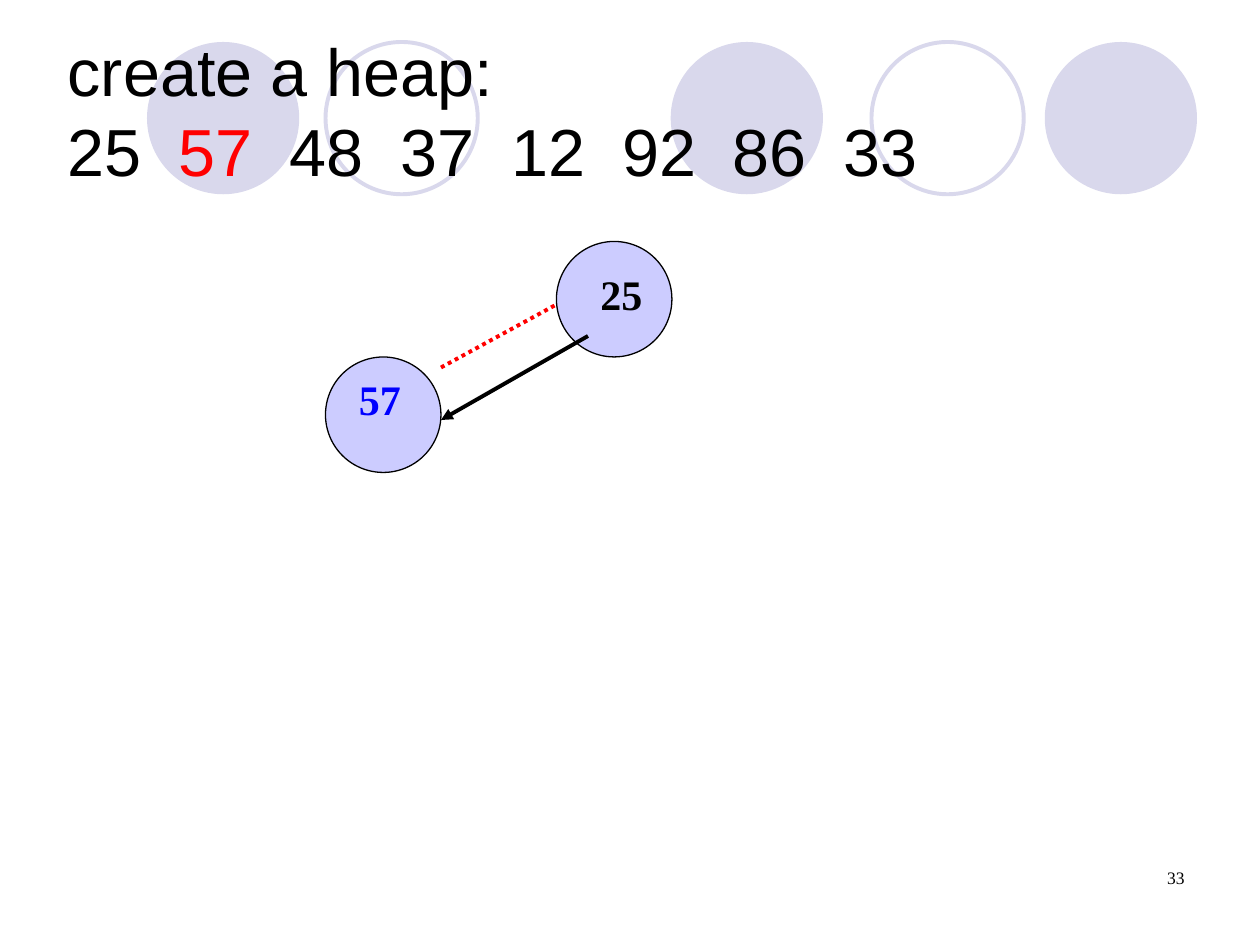
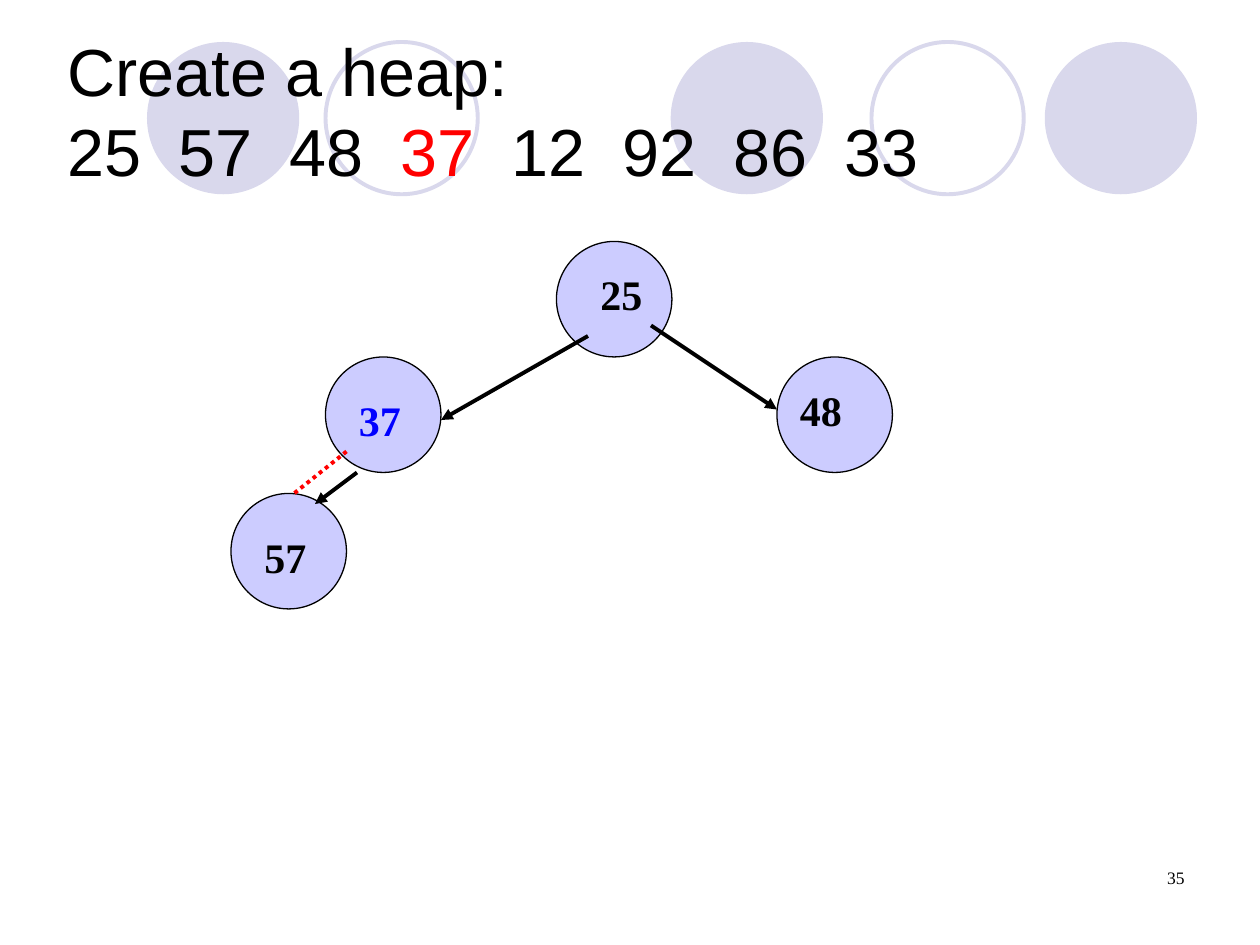
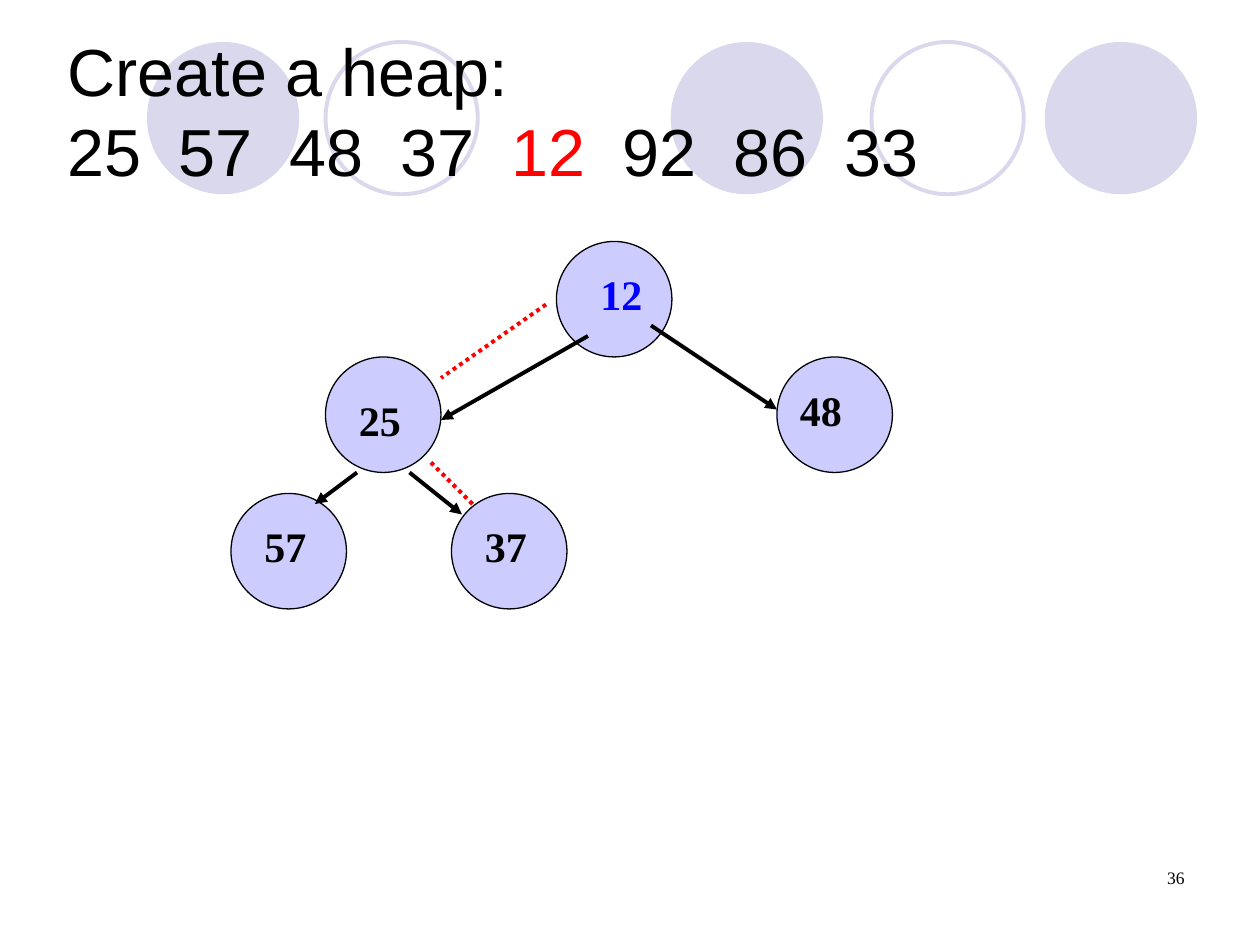
from lxml import etree
from pptx import Presentation
from pptx.dml.color import RGBColor
from pptx.enum.dml import MSO_LINE
from pptx.enum.shapes import MSO_CONNECTOR, MSO_SHAPE
from pptx.enum.text import MSO_ANCHOR, MSO_AUTO_SIZE, PP_ALIGN
from pptx.oxml.ns import qn
from pptx.util import Emu, Pt

SCALE = 9525
OVAL = MSO_SHAPE.OVAL
STRAIGHT = MSO_CONNECTOR.STRAIGHT
DOTTED = MSO_LINE.ROUND_DOT
MIDDLE, TOP = MSO_ANCHOR.MIDDLE, MSO_ANCHOR.TOP
LEFT, RIGHT = PP_ALIGN.LEFT, PP_ALIGN.RIGHT
NO_AUTOFIT = MSO_AUTO_SIZE.NONE

BLACK = RGBColor(0x00, 0x00, 0x00)
RED = RGBColor(0xFF, 0x00, 0x00)
BLUE = RGBColor(0x00, 0x00, 0xFF)
NODE_FILL = RGBColor(0xCC, 0xCC, 0xFF)
BAND = RGBColor(0xD9, 0xD8, 0xEC)
SANS, SERIF = "Arial", "Times New Roman"

NUMBERS = ["25", "57", "48", "37", "12", "92", "86", "33"]
TREE_ORIGIN = (176, 184)
NODE_SIZE = 88
BAND_SIZE = 116
BAND_CIRCLES = [(511, True), (796, True), (112, True), (664, False), (248, False)]

# Each spot holds the node corner and the label indent.
SPOTS = {
    "root": (248, 0, 24),
    "left": (72, 88, 16),
    "right": (416, 88, 8),
    "left_left": (0, 192, 16),
    "left_right": (168, 192, 16),
}
EDGES = {
    "left": (272, 72, 160, 136),
    "right": (320, 64, 416, 128),
    "left_left": (96, 176, 64, 200),
    "left_right": (136, 176, 176, 208),
}

# Each node holds its value, label colour, label drop and label width.
STEPS = [
    {
        "number": "33", "heading": "create a heap: ", "current": 1, "title_width": 837,
        "nodes": {
            "root": ("25", BLACK, 16, 80),
            "left": ("57", BLUE, 8, 88),
        },
        "swaps": [(160, 96, 248, 48)],
    },
    {
        "number": "35", "heading": "Create a heap: ", "current": 3, "title_width": 846,
        "nodes": {
            "root": ("25", BLACK, 16, 80),
            "left": ("37", BLUE, 24, 56),
            "right": ("48", BLACK, 16, 64),
            "left_left": ("57", BLACK, 24, 56),
        },
        "swaps": [(88, 160, 48, 192)],
    },
    {
        "number": "36", "heading": "Create a heap: ", "current": 4, "title_width": 853,
        "nodes": {
            "root": ("12", BLUE, 16, 80),
            "left": ("25", BLACK, 24, 64),
            "right": ("48", BLACK, 16, 72),
            "left_left": ("57", BLACK, 16, 56),
            "left_right": ("37", BLACK, 16, 64),
        },
        "swaps": [(240, 48, 160, 104), (184, 200, 152, 168)],
    },
]


def px(*lengths):
    """Turn pixel lengths into EMU."""
    return [Emu(length * SCALE) for length in lengths]


def add_span(para, text, font_name, size, colour, bold=False):
    """Append one formatted run."""
    span = para.add_run()
    span.text = text
    font = span.font
    font.name, font.size, font.bold = font_name, Pt(size), bold
    font.color.rgb = colour


def add_circle(page, x, y, size, fill=None, line=None, weight=0.75):
    """Draw a circle with an optional fill and outline."""
    circle = page.shapes.add_shape(OVAL, *px(x, y, size, size))
    circle.shadow.inherit = False
    if fill is None:
        circle.fill.background()
    else:
        circle.fill.solid()
        circle.fill.fore_color.rgb = fill
    if line is None:
        circle.line.fill.background()
    else:
        circle.line.color.rgb = line
        circle.line.width = Pt(weight)
    return circle


def add_label(page, box, text, size, colour, bold=False, align=LEFT):
    """Write one line of serif text in a box."""
    frame = page.shapes.add_textbox(*px(*box)).text_frame
    frame.word_wrap = True
    frame.vertical_anchor = TOP
    para = frame.paragraphs[0]
    para.alignment = align
    add_span(para, text, SERIF, size, colour, bold)


def add_link(page, origin, ends, colour, swap=False):
    """Draw an arrow to a child, or a dotted line for a swap."""
    left, top = origin
    x1, y1, x2, y2 = ends
    link = page.shapes.add_connector(
        STRAIGHT, *px(left + x1, top + y1, left + x2, top + y2))
    link.line.color.rgb = colour
    link.line.width = Pt(2.25)
    if swap:
        link.line.dash_style = DOTTED
    else:
        etree.SubElement(link.line._get_or_add_ln(), qn("a:tailEnd"), type="triangle")
    etree.SubElement(link._element.spPr, qn("a:effectLst"))


def move_band_to_layout(page, layout):
    """Draw the circle band and make it part of the shared layout."""
    for placeholder in list(layout.placeholders):
        if placeholder.placeholder_format.idx:
            placeholder._element.getparent().remove(placeholder._element)
    circles = [
        add_circle(page, x, 32, BAND_SIZE, fill=BAND) if filled
        else add_circle(page, x, 32, BAND_SIZE, line=BAND, weight=2.25)
        for x, filled in BAND_CIRCLES
    ]
    for circle in circles:
        layout.shapes._spTree.append(circle._element)


def format_title(page, box, heading, current):
    """Write the heading and the number list with the current one in red."""
    title = page.shapes.title
    title.left, title.top, title.width, title.height = px(*box)
    frame = title.text_frame
    frame.word_wrap = True
    frame.auto_size = NO_AUTOFIT
    frame.vertical_anchor = MIDDLE
    para = frame.paragraphs[0]
    para.alignment = LEFT
    add_span(para, heading, SANS, 38, BLACK)
    para.add_line_break()
    before = "".join(number + "  " for number in NUMBERS[:current])
    after = "".join("  " + number for number in NUMBERS[current + 1:])
    for text, colour in ((before, BLACK), (NUMBERS[current], RED), (after, BLACK)):
        add_span(para, text, SANS, 38, colour)


def draw_tree(page, origin, nodes, swaps):
    """Draw the heap's nodes, arrows, labels and swap lines."""
    left, top = origin
    for spot in nodes:
        x, y, _ = SPOTS[spot]
        add_circle(page, left + x, top + y, NODE_SIZE, NODE_FILL, BLACK)
    for child, ends in EDGES.items():
        if child in nodes:
            add_link(page, origin, ends, BLACK)
    for spot, (value, colour, drop, width) in nodes.items():
        x, y, indent = SPOTS[spot]
        box = (left + x + indent, top + y + drop, width, 48)
        add_label(page, box, value, 24, colour, bold=True)
    for ends in swaps:
        add_link(page, origin, ends, RED, swap=True)


def main():
    """Build the heap creation slides."""
    deck = Presentation()
    deck.slide_width, deck.slide_height = px(960, 720)
    layout = deck.slide_layouts[5]
    for index, step in enumerate(STEPS):
        page = deck.slides.add_slide(layout)
        if index == 0:
            move_band_to_layout(page, layout)
        format_title(page, (42, 24, step["title_width"], 120),
                     step["heading"], step["current"])
        draw_tree(page, TREE_ORIGIN, step["nodes"], step["swaps"])
        add_label(page, (688, 656, 224, 48), step["number"], 10, BLACK, align=RIGHT)
    deck.save("out.pptx")


if __name__ == "__main__":
    main()
